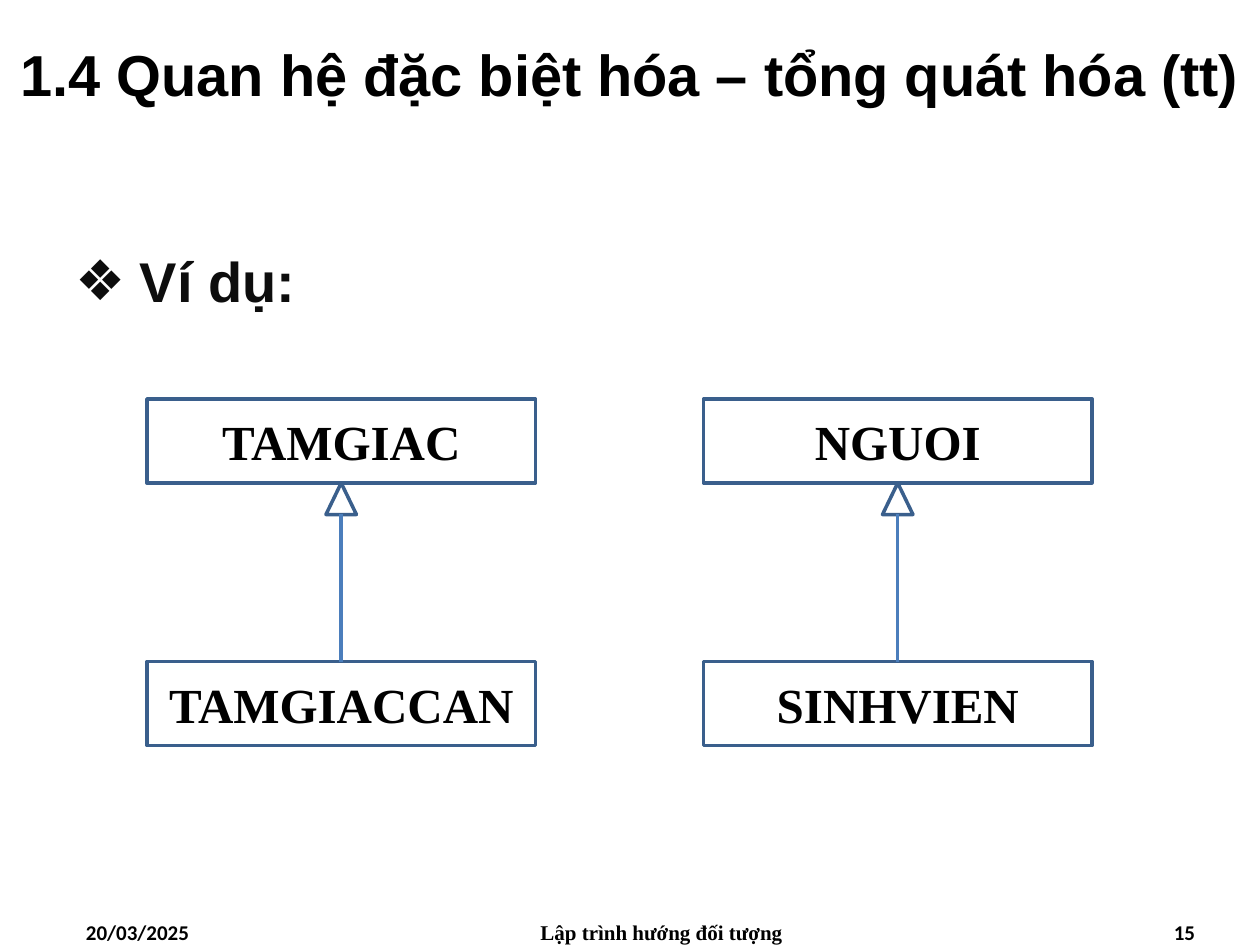
from dataclasses import dataclass

from lxml import etree
from pptx import Presentation
from pptx import util as u
from pptx.dml.color import RGBColor
from pptx.enum import shapes, text
from pptx.oxml.ns import qn

CELL = u.Inches(10) / 120
ALIGN = text.PP_ALIGN
SERIF = "Times New Roman"
OUTLINE, LINK = "3A5F8C", "4B7EBC"
BOX_WIDTH, BOX_HEIGHT = 37, 8
PARENT_ROW, CHILD_ROW = 38, 63
HEAD_WIDTH, HEAD_HEIGHT = 2.9, 3


@dataclass
class Area:
    """A rectangle in grid columns and rows."""
    column: float
    row: float
    width: float
    height: float

    def lengths(self) -> list[int]:
        """Return left, top, width and height as slide lengths."""
        return [cells(n) for n in (self.column, self.row, self.width, self.height)]


@dataclass
class Inheritance:
    """A parent class above its child class."""
    column: float
    parent: str
    child: str


@dataclass
class Footer:
    """One text at the foot of the slide."""
    column: float
    width: float
    words: str
    font: str
    align: ALIGN


INHERITANCES = [
    Inheritance(14, "TAMGIAC", "TAMGIACCAN"),
    Inheritance(67, "NGUOI", "SINHVIEN"),
]
FOOTERS = [
    Footer(7, 28, "20/03/2025", "Calibri", ALIGN.LEFT),
    Footer(44, 38, "Lập trình hướng đối tượng", SERIF, ALIGN.CENTER),
    Footer(87, 28, "15", "Calibri", ALIGN.RIGHT),
]


def cells(count: float) -> int:
    """Convert grid cells to a slide length."""
    return round(count * CELL)


def colour(value: str) -> RGBColor:
    """Convert a hex string to a colour."""
    return RGBColor.from_string(value)


def place(shape, area: Area) -> None:
    """Move and size a shape to an area."""
    shape.left, shape.top, shape.width, shape.height = area.lengths()


def write(shape, words: str, font: str, size: float, align: ALIGN,
          anchor=text.MSO_ANCHOR.MIDDLE, ink: str = "000000"):
    """Write one bold paragraph in a shape and return it."""
    frame = shape.text_frame
    frame.text = words
    frame.word_wrap = True
    frame.auto_size = text.MSO_AUTO_SIZE.NONE
    frame.vertical_anchor = anchor
    para = frame.paragraphs[0]
    para.alignment = align
    para.space_before = u.Pt(0)
    span = para.runs[0].font
    span.name, span.size, span.bold = font, u.Pt(size), True
    span.color.rgb = colour(ink)
    return para


def add_bullet(para, mark: str, indent: float) -> None:
    """Give a paragraph a hanging bullet."""
    properties = para._p.get_or_add_pPr()
    properties.set("marL", str(u.Inches(indent)))
    properties.set("indent", str(-u.Inches(indent)))
    etree.SubElement(properties, qn("a:buFont")).set("typeface", "Arial")
    etree.SubElement(properties, qn("a:buChar")).set("char", mark)


def add_outline(page, kind, area: Area):
    """Draw an unfilled preset shape."""
    shape = page.shapes.add_shape(kind, *area.lengths())
    shape.shadow.inherit = False
    shape.fill.background()
    shape.line.color.rgb = colour(OUTLINE)
    shape.line.width = u.Pt(2)
    return shape


def add_class(page, column: float, row: float, name: str):
    """Draw a class box with its name."""
    box = add_outline(page, shapes.MSO_SHAPE.RECTANGLE,
                      Area(column, row, BOX_WIDTH, BOX_HEIGHT))
    write(box, name, SERIF, 28, ALIGN.CENTER)
    return box


def add_inheritance(page, item: Inheritance) -> None:
    """Draw two classes joined by a generalisation arrow."""
    add_class(page, item.column, PARENT_ROW, item.parent)
    child = add_class(page, item.column, CHILD_ROW, item.child)
    middle = item.column + BOX_WIDTH / 2
    head_row = PARENT_ROW + BOX_HEIGHT
    add_outline(page, shapes.MSO_SHAPE.ISOSCELES_TRIANGLE,
                Area(middle - HEAD_WIDTH / 2, head_row, HEAD_WIDTH, HEAD_HEIGHT))
    link = page.shapes.add_connector(
        shapes.MSO_CONNECTOR.STRAIGHT, cells(middle), cells(CHILD_ROW),
        cells(middle), cells(head_row + HEAD_HEIGHT))
    link.begin_connect(child, 0)
    link.line.color.rgb = colour(LINK)
    link.line.width = u.Pt(2)
    etree.SubElement(link._element.spPr, qn("a:effectLst"))


def add_footer(page, item: Footer) -> None:
    """Write one footer text."""
    box = page.shapes.add_textbox(*Area(item.column, 87, item.width, 3).lengths())
    write(box, item.words, item.font, 12, item.align, text.MSO_ANCHOR.TOP)


def main() -> None:
    """Build and save the slide."""
    deck = Presentation()
    deck.slide_width, deck.slide_height = cells(120), cells(90)
    page = deck.slides.add_slide(deck.slide_layouts[1])
    title, body = page.shapes.title, page.placeholders[1]

    place(title, Area(0, 0, 120, 14))
    write(title, "1.4 Quan hệ đặc biệt hóa – tổng quát hóa (tt)", "Arial", 33, ALIGN.CENTER)

    place(body, Area(6, 21, 110, 10))
    para = write(body, "Ví dụ:", "Arial", 32, ALIGN.JUSTIFY,
                 text.MSO_ANCHOR.TOP, "0D0D0D")
    para.line_spacing = 1.3
    para.space_after = u.Pt(3)
    add_bullet(para, "❖", 0.51)

    for footer in FOOTERS:
        add_footer(page, footer)
    for inheritance in INHERITANCES:
        add_inheritance(page, inheritance)
    deck.save("out.pptx")


if __name__ == "__main__":
    main()
